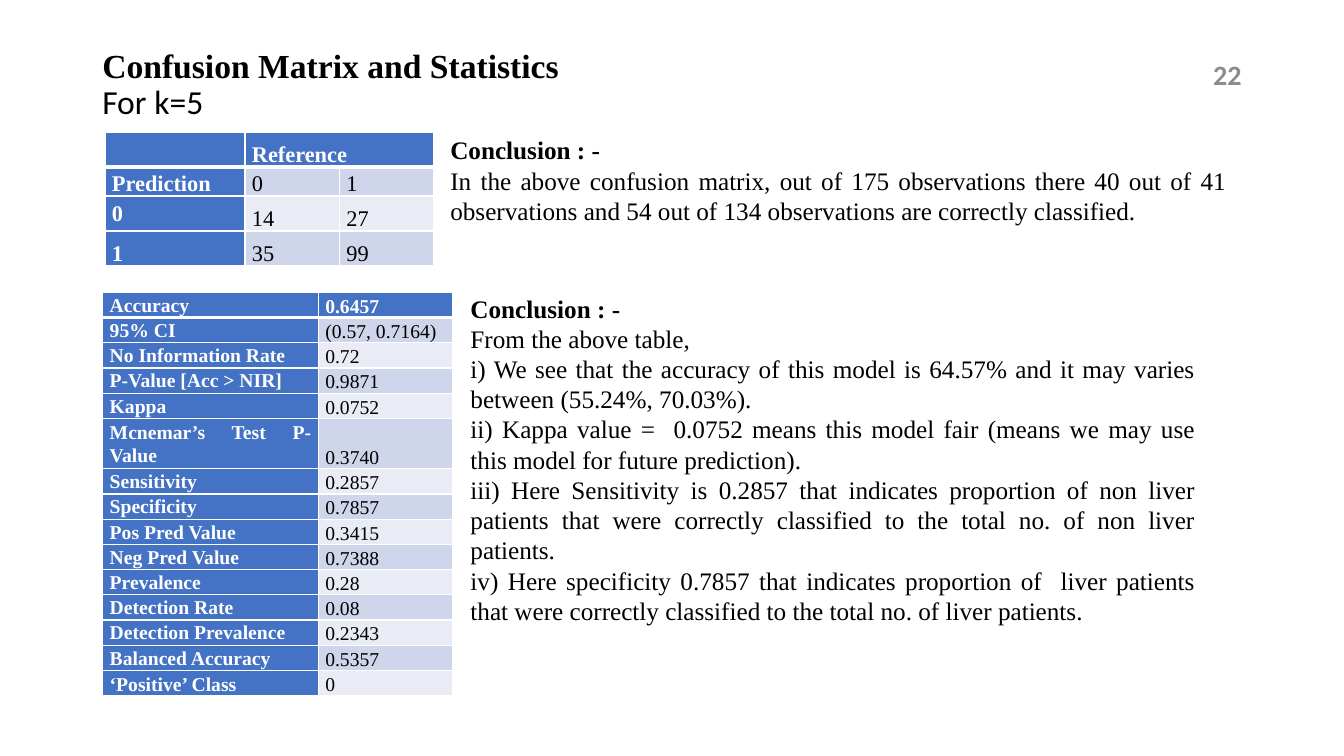
from pptx import Presentation
from pptx.dml.color import RGBColor as RGB
from pptx.enum.shapes import MSO_SHAPE as SHAPE
from pptx.enum.text import MSO_ANCHOR as ANCHOR, PP_ALIGN as ALIGN
from pptx.oxml import parse_xml
from pptx.oxml.ns import nsdecls
from pptx.util import Pt

SERIF = "Times New Roman"
WHITE, BLACK, BLUE, GREY = "FFFFFF", "000000", "4472C4", "8C8C8C"
BANDS = "E9EBF5", "CFD5EA"

MATRIX = [
    ("", "Reference", ""),
    ("Prediction", "0", "1"),
    ("0", "14", "27"),
    ("1", "35", "99"),
]
STATS = [
    ("Accuracy", "0.6457"),
    ("95% CI", "(0.57, 0.7164)"),
    ("No Information Rate", "0.72"),
    ("P-Value [Acc > NIR]", "0.9871"),
    ("Kappa", "0.0752"),
    ("Mcnemar’s Test P-Value", "0.3740"),
    ("Sensitivity", "0.2857"),
    ("Specificity", "0.7857"),
    ("Pos Pred Value", "0.3415"),
    ("Neg Pred Value", "0.7388"),
    ("Prevalence", "0.28"),
    ("Detection Rate", "0.08"),
    ("Detection Prevalence", "0.2343"),
    ("Balanced Accuracy", "0.5357"),
    ("‘Positive’ Class", "0"),
]
MATRIX_NOTES = [
    "In the above confusion matrix, out of 175 observations there 40 out of 41 "
    "observations and 54 out of 134 observations are correctly classified.",
]
STATS_NOTES = [
    "From the above table,",
    "i) We see that the accuracy of this model is 64.57% and it may varies "
    "between (55.24%, 70.03%).",
    "ii) Kappa value =  0.0752 means this model fair (means we may use this "
    "model for future prediction).",
    "iii) Here Sensitivity is 0.2857 that indicates proportion of non liver "
    "patients that were correctly classified to the total no. of non liver patients.",
    "iv) Here specificity 0.7857 that indicates proportion of  liver patients "
    "that were correctly classified to the total no. of liver patients.",
]


def paint(fmt, color):
    """Give a fill or font colour format its hex colour."""
    fmt.rgb = RGB.from_string(color)


def apply(item, fmt):
    for name, value in fmt.items():
        setattr(item, name, value)


def write(para, text, size, color=BLACK, bold=False, name=SERIF):
    run = para.add_run()
    run.text = text
    apply(run.font, {"size": Pt(size), "bold": bold, "name": name})
    paint(run.font.color, color)


def label(slide, box):
    frame = slide.shapes.add_textbox(*map(Pt, box)).text_frame
    apply(frame, {"word_wrap": True, "vertical_anchor": ANCHOR.MIDDLE})
    return frame.paragraphs[0]


def heading(slide, box):
    para = label(slide, box)
    para.line_spacing = 0.9
    write(para, "Confusion Matrix and Statistics", 24, bold=True)
    para.add_line_break()
    write(para, "For k=5", 24, name="Calibri")


def number(slide, box):
    para = label(slide, box)
    para.alignment = ALIGN.RIGHT
    write(para, "22", 20, GREY, True, "Calibri")


def edge(cell, head):
    """White cell borders, thicker below the head row."""
    sides = {"L": 1, "R": 1, "T": 1, "B": 3} if head else {"L": 1, "R": 1, "B": 1}
    props = cell._tc.get_or_add_tcPr()
    for spot, (side, width) in enumerate(sides.items()):
        props.insert(spot, parse_xml(
            f'<a:ln{side} {nsdecls("a")} w="{Pt(width)}"><a:solidFill>'
            f'<a:srgbClr val="{WHITE}"/></a:solidFill></a:ln{side}>'))


def grid(slide, left, top, rows, widths, heights, size, middle):
    """Table with a blue head row and first column; middle lists centred labels."""
    box = map(Pt, (left, top, sum(widths), sum(heights)))
    table = slide.shapes.add_table(len(rows), len(widths), *box).table
    apply(table, {"first_row": False, "horz_banding": False})
    for col, width in zip(table.columns, widths):
        col.width = Pt(width)
    for r, texts in enumerate(rows):
        table.rows[r].height = Pt(heights[r])
        for c, text in enumerate(texts):
            cell = table.cell(r, c)
            key = r == 0 or c == 0
            centred = c == 0 and r in middle
            apply(cell, {
                "margin_left": Pt(5), "margin_right": Pt(5),
                "margin_top": 0, "margin_bottom": 0,
                "vertical_anchor": ANCHOR.MIDDLE if centred else ANCHOR.BOTTOM,
            })
            cell.fill.solid()
            paint(cell.fill.fore_color, BLUE if key else BANDS[r % 2])
            edge(cell, r == 0)
            if text:
                para = cell.text_frame.paragraphs[0]
                apply(para, {"alignment": ALIGN.JUSTIFY, "line_spacing": 1.07})
                write(para, text, size, WHITE if key else BLACK, key)
    return table


def notes(slide, box, lines):
    shape = slide.shapes.add_shape(SHAPE.RECTANGLE, *map(Pt, box))
    shape.shadow.inherit = False
    shape.fill.solid()
    paint(shape.fill.fore_color, WHITE)
    shape.line.fill.background()
    frame = shape.text_frame
    apply(frame, {"word_wrap": True, "vertical_anchor": ANCHOR.MIDDLE,
                  "margin_bottom": 0})
    for i, line in enumerate(["Conclusion : -", *lines]):
        para = frame.add_paragraph() if i else frame.paragraphs[0]
        para.alignment = ALIGN.JUSTIFY
        write(para, line, 18, bold=i == 0)


def main():
    deck = Presentation()
    apply(deck, {"slide_width": Pt(960), "slide_height": Pt(540)})
    slide = deck.slides.add_slide(deck.slide_layouts[6])

    # Title
    heading(slide, (66, 28.8, 828, 64.8))

    # Confusion matrix and its conclusion
    matrix = grid(slide, 75, 94.5, MATRIX, (100, 67.5, 67.5),
                  (25, 19, 25, 25), 16, {2})
    matrix.cell(0, 1).merge(matrix.cell(0, 2))
    notes(slide, (314.6, 92.2, 568.8, 69.1), MATRIX_NOTES)

    # Statistics and their conclusion
    tall = [36 if "Mcnemar" in name else 17.95 for name, _ in STATS]
    grid(slide, 73.4, 208.8, STATS, (154, 96), tall, 14, range(len(STATS) - 1))
    notes(slide, (329, 204.5, 532, 243.4), STATS_NOTES)

    # Slide number
    number(slide, (678, 39, 216, 28.8))
    deck.save("out.pptx")


if __name__ == "__main__":
    main()
